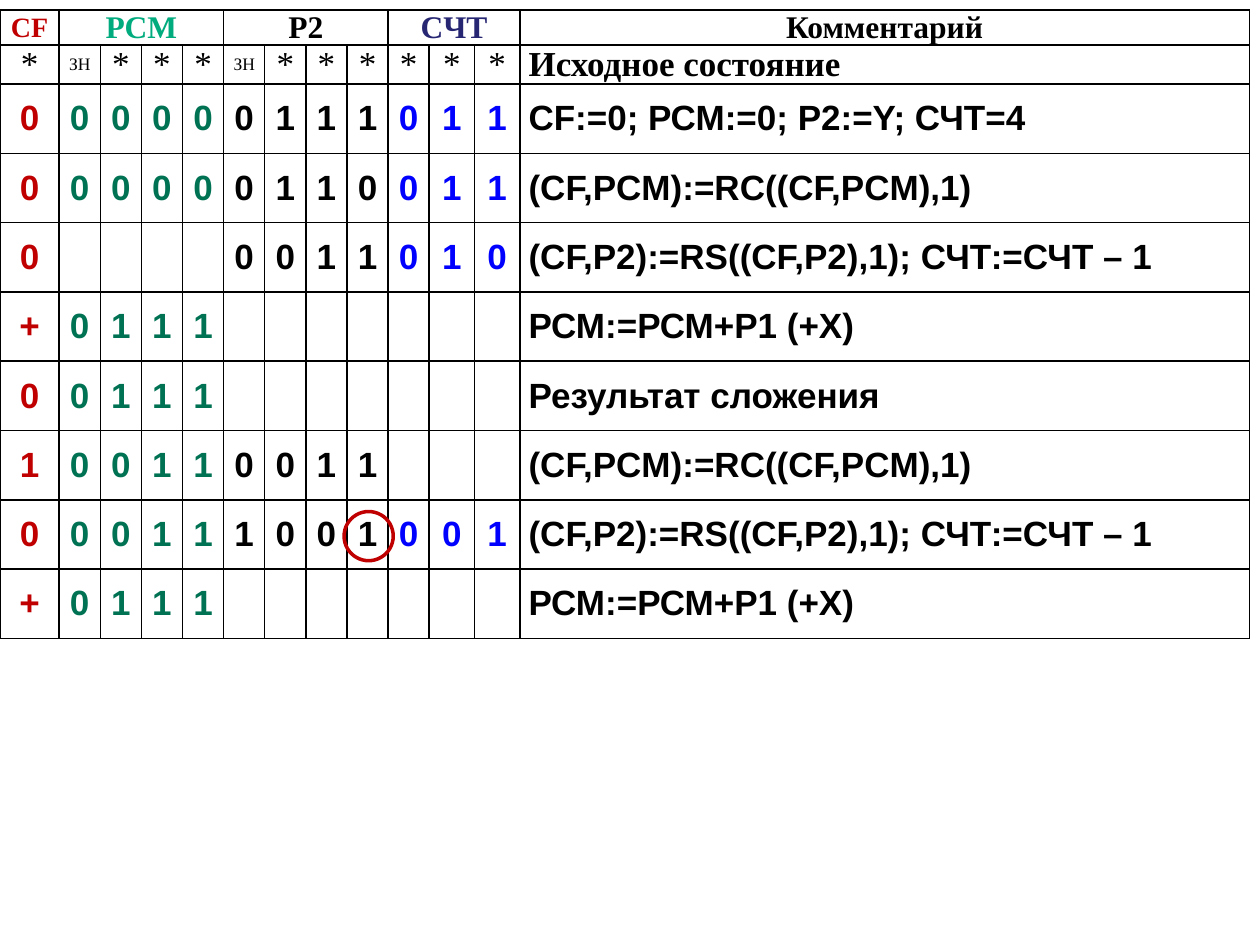
from lxml import etree
from pptx import Presentation
from pptx.dml.color import RGBColor
from pptx.enum import shapes, text
from pptx.oxml import ns
from pptx.util import Pt

BLACK = RGBColor(0x00, 0x00, 0x00)
RED = RGBColor(0xC0, 0x00, 0x00)
MINT = RGBColor(0x00, 0xAB, 0x7E)
GREEN = RGBColor(0x00, 0x72, 0x54)
NAVY = RGBColor(0x26, 0x26, 0x73)
BLUE = RGBColor(0x00, 0x00, 0xFF)

SERIF, SANS = "Times New Roman", "Arial"

# Register groups: title, first column, column count, title size, title colour
REGISTERS = [
    ("CF", 0, 1, 16, RED),
    ("PCM", 1, 4, 18, MINT),
    ("P2", 5, 4, 18, BLACK),
    ("CЧТ", 9, 3, 18, NAVY),
    ("Комментарий", 12, 1, 18, BLACK),
]
SIGN_COLUMNS = (1, 5)
BIT_COLOURS = [RED] + [GREEN] * 4 + [BLACK] * 4 + [BLUE] * 3
COMMENT_COLUMN = len(BIT_COLOURS)

# One character per bit column (a space leaves the cell empty), then the comment
STEPS = [
    ("000000111011", "CF:=0; РСМ:=0; Р2:=Y; СЧТ=4"),
    ("000000110011", "(CF,PCM):=RС((CF,PCM),1)"),
    ("0    0011010", "(CF,P2):=RS((CF,P2),1); СЧТ:=СЧТ – 1"),
    ("+0111       ", "РСМ:=РСМ+Р1 (+X)"),
    ("00111       ", "Результат сложения"),
    ("100110011   ", "(CF,PCM):=RС((CF,PCM),1)"),
    ("000111001001", "(CF,P2):=RS((CF,P2),1); СЧТ:=СЧТ – 1"),
    ("+0111       ", "РСМ:=РСМ+Р1 (+X)"),
]

COLUMN_WIDTHS = [33.8] + [23.5] * 9 + [25.9] * 2 + [416.9]
ROW_HEIGHTS = [20, 20] + [39.6] * len(STEPS)


def write(cell, content, size=20, font=SANS, colour=BLACK, bold=True,
          align=text.PP_ALIGN.CENTER):
    paragraph = cell.text_frame.paragraphs[0]
    paragraph.alignment = align
    paragraph.space_after = Pt(3)
    run = paragraph.add_run()
    run.text = content
    run.font.size = Pt(size)
    run.font.name = font
    run.font.bold = bold
    run.font.color.rgb = colour


def style_cell(cell):
    cell.vertical_anchor = text.MSO_ANCHOR.MIDDLE
    cell.margin_left = cell.margin_right = Pt(5)
    cell.margin_top = cell.margin_bottom = Pt(0)
    properties = cell._tc.get_or_add_tcPr()
    for side in ("a:lnL", "a:lnR", "a:lnT", "a:lnB"):
        border = etree.SubElement(properties, ns.qn(side), w=str(Pt(1)))
        fill = etree.SubElement(border, ns.qn("a:solidFill"))
        etree.SubElement(fill, ns.qn("a:srgbClr"), val=str(BLACK))
    cell.fill.background()


def add_trace_table(slide, left, top, width, height):
    table = slide.shapes.add_table(
        len(ROW_HEIGHTS), len(COLUMN_WIDTHS),
        Pt(left), Pt(top), Pt(width), Pt(height)).table
    table.first_row = table.horz_banding = False
    for column, column_width in zip(table.columns, COLUMN_WIDTHS):
        column.width = Pt(column_width)
    for row, row_height in zip(table.rows, ROW_HEIGHTS):
        row.height = Pt(row_height)
    for cell in table.iter_cells():
        style_cell(cell)

    # Register titles
    for title, first, count, size, colour in REGISTERS:
        cell = table.cell(0, first)
        if count > 1:
            cell.merge(table.cell(0, first + count - 1))
        write(cell, title, size=size, font=SERIF, colour=colour)

    # Sign and digit marks
    for column in range(COMMENT_COLUMN):
        mark, size = ("ЗН", 10) if column in SIGN_COLUMNS else ("*", 20)
        write(table.cell(1, column), mark, size=size, font=SERIF, bold=False)
    write(table.cell(1, COMMENT_COLUMN), "Исходное состояние", font=SERIF,
          align=text.PP_ALIGN.LEFT)

    # Steps of the multiplication
    for row, (bits, comment) in enumerate(STEPS, start=2):
        for column, (bit, colour) in enumerate(zip(bits, BIT_COLOURS)):
            if bit != " ":
                write(table.cell(row, column), bit, colour=colour)
        write(table.cell(row, COMMENT_COLUMN), comment,
              align=text.PP_ALIGN.LEFT)


def add_bit_ring(slide, left, top, diameter):
    ring = slide.shapes.add_shape(
        shapes.MSO_SHAPE.OVAL, Pt(left), Pt(top), Pt(diameter), Pt(diameter))
    ring.shadow.inherit = False
    ring.fill.background()
    ring.line.color.rgb = RED
    ring.line.width = Pt(2)


def main():
    presentation = Presentation()
    presentation.slide_width, presentation.slide_height = Pt(720), Pt(540)
    slide = presentation.slides.add_slide(presentation.slide_layouts[6])
    add_trace_table(slide, 0, 5.8, sum(COLUMN_WIDTHS), sum(ROW_HEIGHTS))
    # Ring around the lowest bit of P2
    add_bit_ring(slide, 196.6, 292.3, 28.1)
    presentation.save("out.pptx")


if __name__ == "__main__":
    main()
